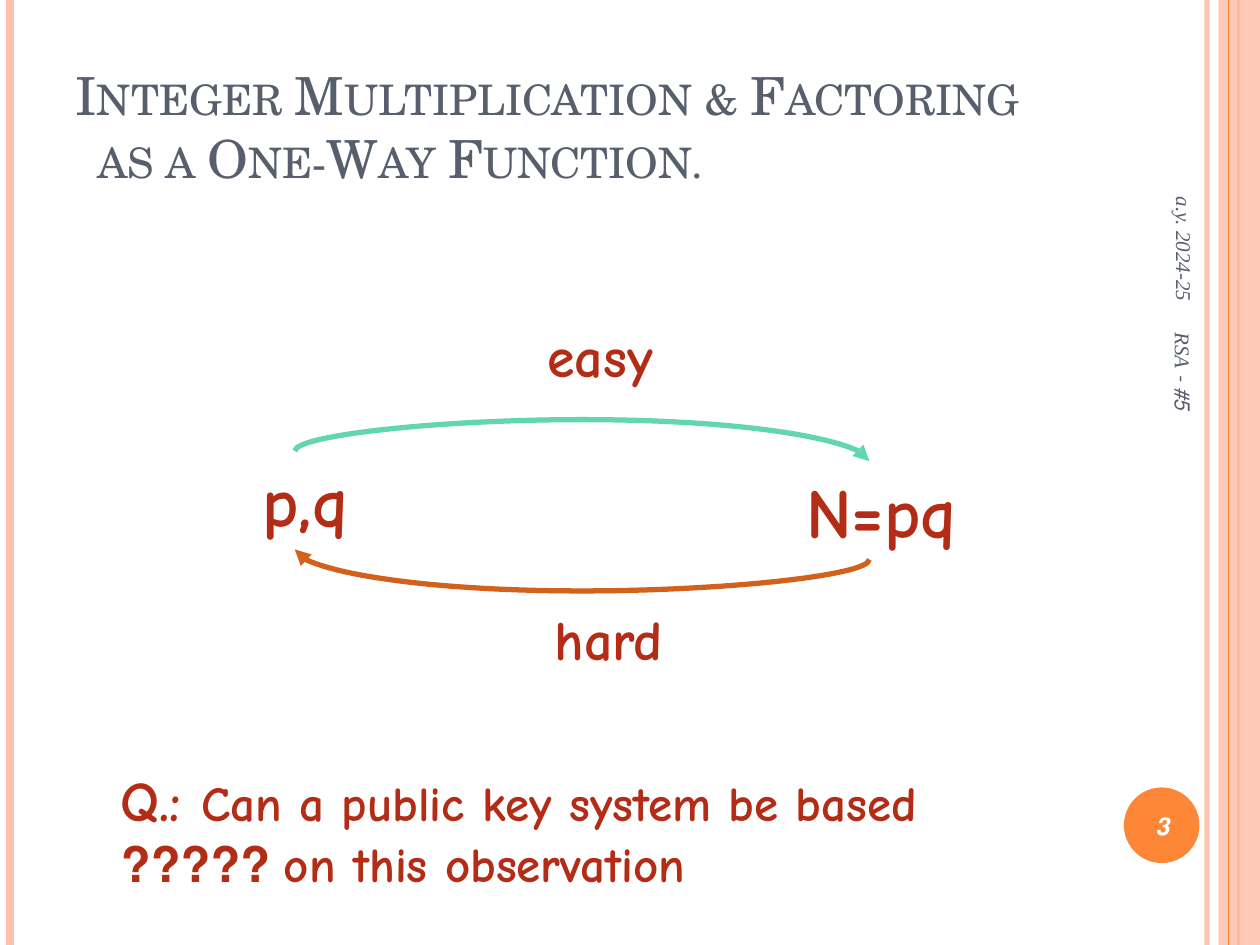
from lxml.etree import SubElement
from pptx import Presentation
from pptx.dml.color import RGBColor
from pptx.enum.shapes import MSO_CONNECTOR, MSO_SHAPE
from pptx.enum.text import MSO_ANCHOR, MSO_AUTO_SIZE, PP_ALIGN
from pptx.oxml.ns import qn
from pptx.util import Inches, Pt

PEACH, ORANGE, SLATE, RED = "FEC2AC", "FE8637", "575F6D", "B32C16"
COMIC, TIMES, SCHOLA = "Comic Neue", "Times New Roman", "TeX Gyre Schola"


def paint(target, tone, alpha=None):
    """Give a fill format a solid colour, with alpha in percent."""
    target.solid()
    target.fore_color.rgb = RGBColor.from_string(tone)
    if alpha:
        solid = target._xPr.find(qn("a:solidFill"))
        SubElement(solid[0], qn("a:alpha")).set("val", str(alpha * 1000))


def stroke(slide, kind, start, end, tone, width, alpha=None):
    """Draw a connector without shadow between two points in inches."""
    line = slide.shapes.add_connector(kind, *map(Inches, start + end))
    paint(line.line.fill, tone, alpha)
    line.line.width = Pt(width)
    SubElement(line._element.spPr, qn("a:effectLst"))
    return line


def solid(slide, kind, box, tone, alpha=None):
    """Draw a filled preset shape without outline."""
    shape = slide.shapes.add_shape(kind, *map(Inches, box))
    shape.shadow.inherit = False
    paint(shape.fill, tone, alpha)
    shape.line.fill.background()


def style(run, size, font, tone, bold=None, italic=None):
    """Set the font of a run."""
    run.font.size, run.font.name = Pt(size), font
    run.font.bold, run.font.italic = bold, italic
    run.font.color.rgb = RGBColor.from_string(tone)


def label(slide, box, rows, font, tone, align=None, turn=0,
          anchor=MSO_ANCHOR.TOP, bold=None, italic=None):
    """Place a right-to-left text box; each row lists (text, size) runs."""
    shape = slide.shapes.add_textbox(*map(Inches, box))
    shape.rotation = turn
    frame = shape.text_frame
    frame.word_wrap = True
    frame.vertical_anchor = anchor
    for i, row in enumerate(rows):
        para = frame.paragraphs[0] if i == 0 else frame.add_paragraph()
        para.alignment = align
        para._p.get_or_add_pPr().set("rtl", "1")
        for text, size in row:
            run = para.add_run()
            run.text = text
            style(run, size, font, tone, bold, italic)


def frame(slide, width, height):
    """Draw the stripes at the slide edges and the number disc."""
    def stripe(x, tone, weight, alpha=None):
        stroke(slide, MSO_CONNECTOR.STRAIGHT, (x, 0), (x, height),
               tone, weight, alpha)

    stripe(width - 0.42, PEACH, 3, 92)
    stripe(0.08, PEACH, 4.5)
    stripe(width - 0.17, ORANGE, 1.5)
    solid(slide, MSO_SHAPE.RECTANGLE, (width - 0.33, 0, 0.33, height), PEACH, 86)
    stripe(width - 0.25, ORANGE, 0.75)
    solid(slide, MSO_SHAPE.OVAL, (8.92, 6.25, 0.6, 0.6), ORANGE)


def heading(slide, box, lines):
    """Fill the title in small caps with a hanging second line."""
    title = slide.shapes.title
    title.left, title.top, title.width, title.height = map(Inches, box)
    body = title.text_frame
    body.auto_size = MSO_AUTO_SIZE.NONE
    body.word_wrap = True
    body.vertical_anchor = MSO_ANCHOR.BOTTOM
    para = body.paragraphs[0]
    para.alignment = PP_ALIGN.LEFT
    props = para._p.get_or_add_pPr()
    props.set("marL", str(Inches(0.17)))
    props.set("indent", str(Inches(-0.17)))
    for i, text in enumerate(lines):
        if i:
            para.add_line_break()
        run = para.add_run()
        run.text = text
        style(run, 30, SCHOLA, SLATE)
        run._r.get_or_add_rPr().set("cap", "small")


def curve(slide, start, end, turn, tone, bulge=0.25):
    """Draw a curved arrow bulging beyond its start, turned a quarter."""
    line = stroke(slide, MSO_CONNECTOR.CURVE, start, end, tone, 3)
    (x1, y1), (x2, y2) = start, end
    rise, span = abs(y2 - y1), abs(x2 - x1)
    line.left = Inches((x1 + x2 - rise) / 2)
    line.top = Inches((y1 + y2 - span) / 2)
    line.width, line.height = Inches(rise), Inches(span)
    props = line._element.spPr
    form = props.find(qn("a:xfrm"))
    form.attrib.pop("flipV", None)
    form.set("rot", str(turn * 60000))
    form.set("flipH", "1")
    geom = props.find(qn("a:prstGeom"))
    guides = geom.find(qn("a:avLst"))
    if guides is None:
        guides = SubElement(geom, qn("a:avLst"))
    guide = SubElement(guides, qn("a:gd"))
    guide.set("name", "adj1")
    guide.set("fmla", f"val {round(-bulge / rise * 100000)}")
    SubElement(props.find(qn("a:ln")), qn("a:tailEnd")).set("type", "triangle")


def cycle(slide, left, top):
    """Draw the easy and hard directions between p,q and N=pq."""
    for x, y, w, h, text, size in (
            (0, 1.08, 1.04, 0.77, "p,q", 40),
            (4.28, 1.17, 1.59, 0.77, "N=pq", 40),
            (2.35, 2.25, 1.19, 0.64, "hard", 32),
            (2.29, 0, 1.17, 0.64, "easy", 32)):
        label(slide, (left + x, top + y, w, h), [[(text, size)]],
              COMIC, RED, PP_ALIGN.RIGHT, bold=True)
    near, far = left + 0.52, left + 5.08
    curve(slide, (near, top + 1.08), (far, top + 1.16), 270, "62D6AC")
    curve(slide, (far, top + 1.94), (near, top + 1.86), 90, "D2611C")


def footer(slide):
    """Place the sideways notes and the slide number."""
    for box, text, align, turn, size, bold, tone in (
            ((8.3, 1.18, 2.2, 0.42), "a.y. 2024-25", PP_ALIGN.RIGHT, 90, 12, None, SLATE),
            ((7.64, 4.09, 3.5, 0.4), "#5 - RSA", None, 90, 12, None, SLATE),
            ((8.89, 6.27, 0.67, 0.57), "3", PP_ALIGN.CENTER, 0, 14, True, "FFFFFF")):
        label(slide, box, [[(text, size)]], TIMES, tone, align, turn,
              MSO_ANCHOR.MIDDLE, bold, True)


def main():
    """Build and save the slide."""
    deck = Presentation()
    deck.slide_width, deck.slide_height = Inches(10), Inches(7.5)
    slide = deck.slides.add_slide(deck.slide_layouts[5])
    frame(slide, 10, 7.5)
    heading(slide, (0.5, 0.3, 8.17, 1.25),
            ("Integer Multiplication & Factoring", "as a One-Way Function."))
    cycle(slide, 1.82, 2.5)
    label(slide, (0.86, 6.03, 7.65, 1.11),
          [[("Q.: ", 32), ("Can a public key system be based", 28)],
           [("on this observation ?????", 28)]], COMIC, RED, bold=True)
    footer(slide)
    deck.save("out.pptx")


if __name__ == "__main__":
    main()
